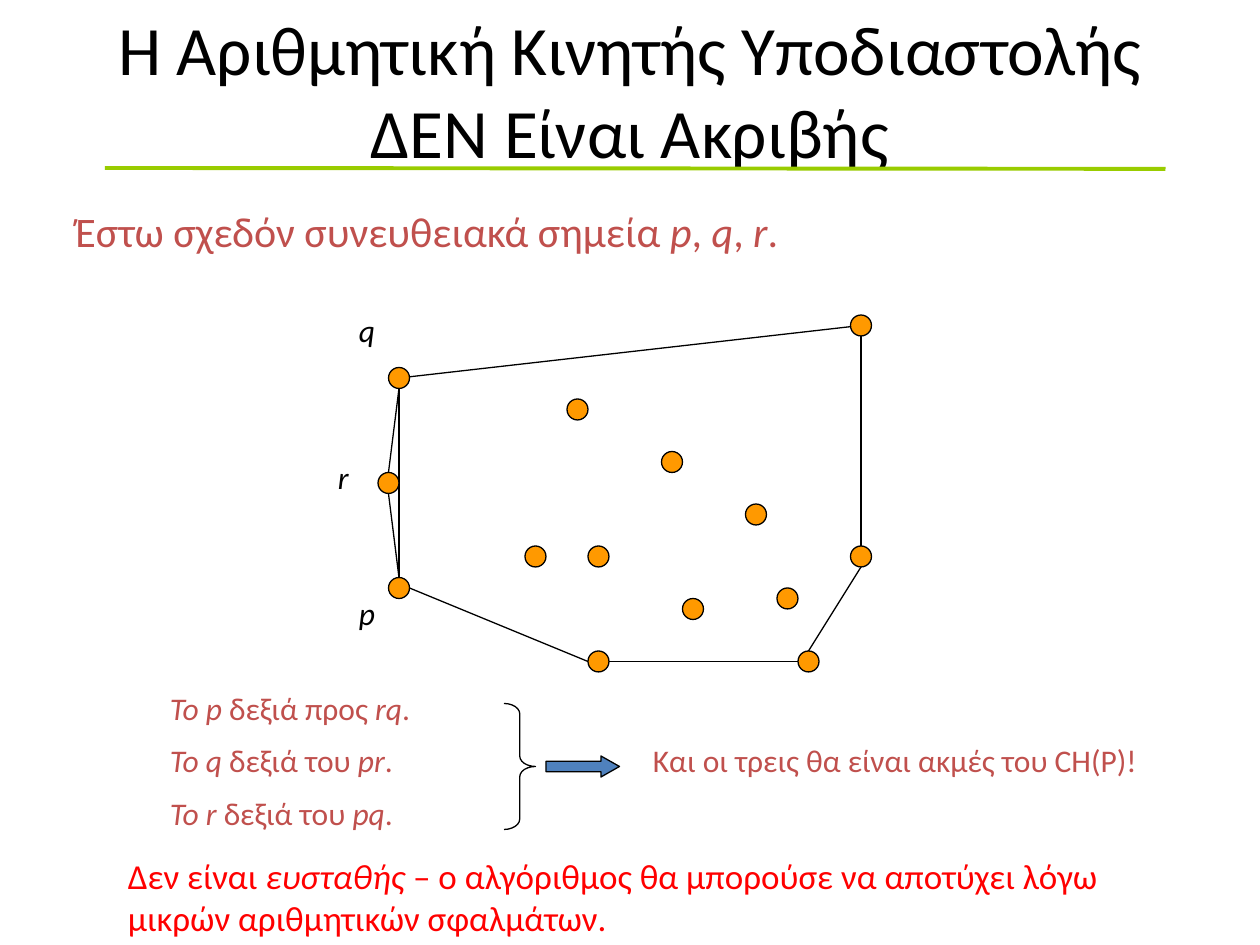
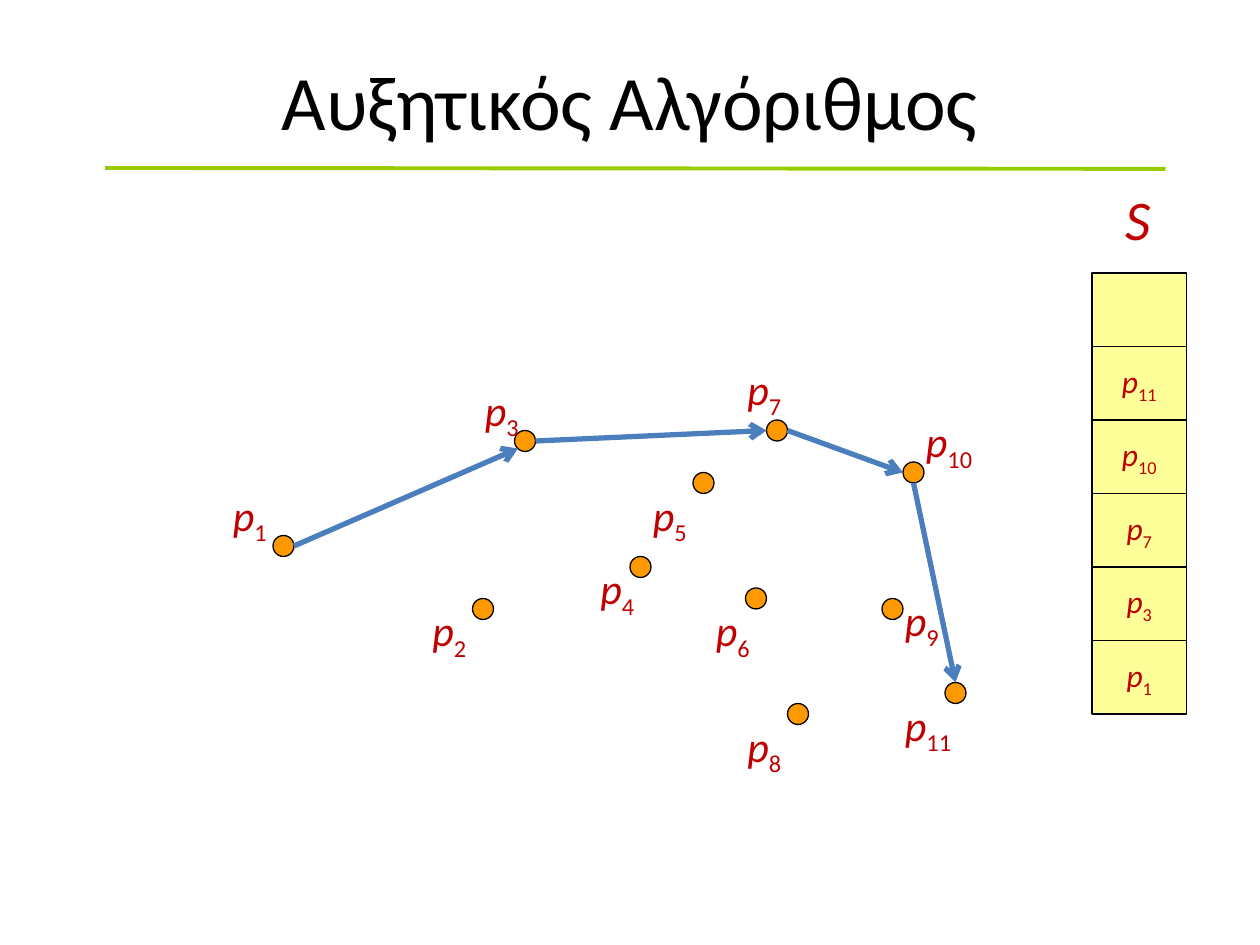
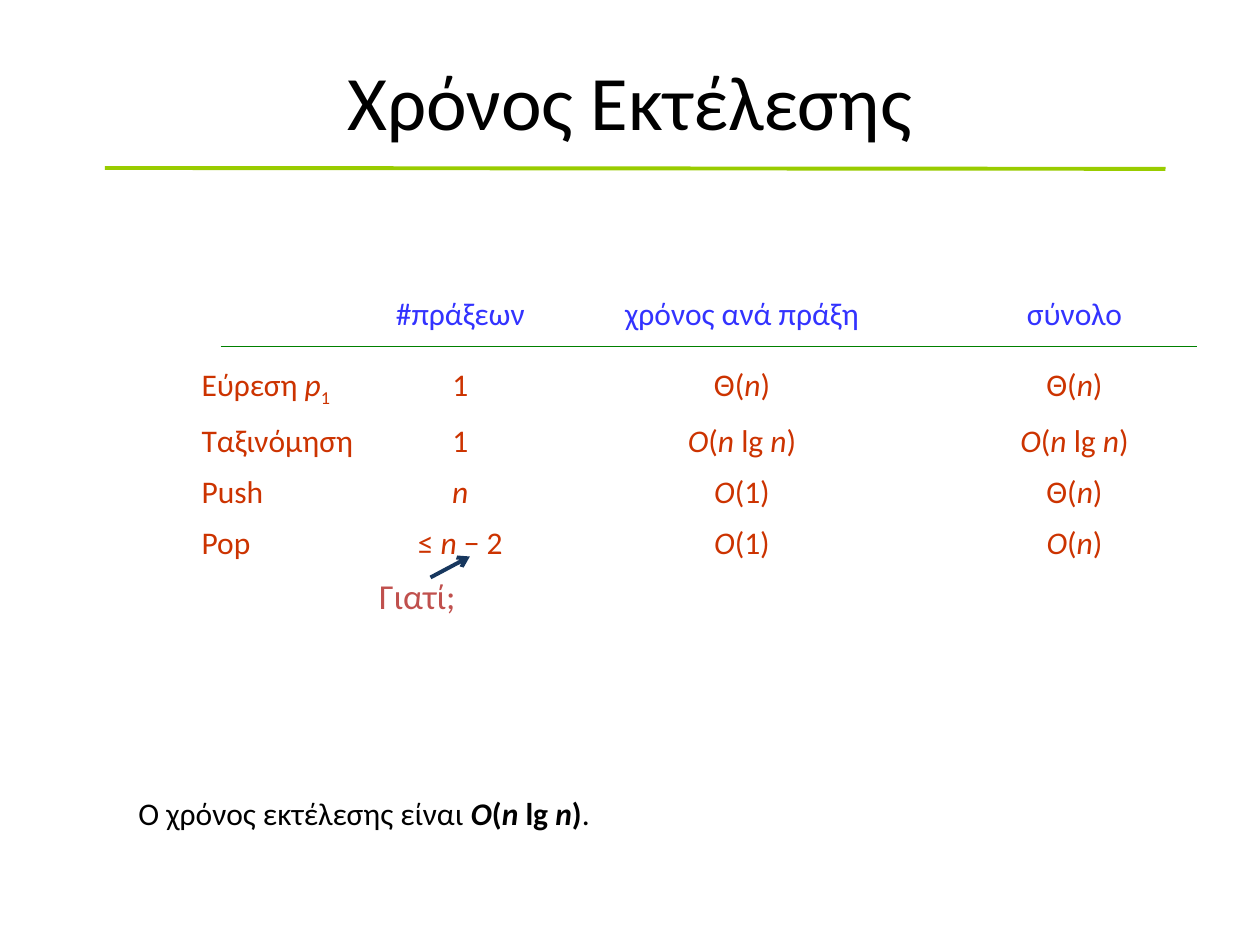
from pptx import Presentation
from pptx.dml.color import RGBColor
from pptx.enum.shapes import MSO_CONNECTOR, MSO_SHAPE
from pptx.enum.text import MSO_ANCHOR, PP_ALIGN
from pptx.oxml.ns import qn
from pptx.util import Pt
from lxml import etree

BLACK = RGBColor(0x00, 0x00, 0x00)
ORANGE = RGBColor(0xFF, 0x99, 0x00)
LIME = RGBColor(0x99, 0xCC, 0x00)
GREEN = RGBColor(0x00, 0x80, 0x00)
YELLOW = RGBColor(0xFF, 0xFF, 0x99)
BLUE = RGBColor(0x4F, 0x81, 0xBD)
ARROW_BLUE = RGBColor(0x4B, 0x7E, 0xBC)
NAVY = RGBColor(0x17, 0x37, 0x5E)
HEADER_BLUE = RGBColor(0x33, 0x33, 0xFF)
BRICK = RGBColor(0xC0, 0x50, 0x4D)
DARK_RED = RGBColor(0xC0, 0x00, 0x00)
RUST = RGBColor(0xCC, 0x33, 0x00)
RED = RGBColor(0xFF, 0x00, 0x00)

STRAIGHT = MSO_CONNECTOR.STRAIGHT
OVAL = MSO_SHAPE.OVAL
RECTANGLE = MSO_SHAPE.RECTANGLE
RIGHT_BRACE = MSO_SHAPE.RIGHT_BRACE
RIGHT_ARROW = MSO_SHAPE.RIGHT_ARROW
TOP, MIDDLE = MSO_ANCHOR.TOP, MSO_ANCHOR.MIDDLE
LEFT, CENTER = PP_ALIGN.LEFT, PP_ALIGN.CENTER

FONT = "Calibri"
ITALIC, SUBSCRIPT, BOLD = "*", "_", "^"
DOT = 12


class Deck:
    def __init__(self):
        self.presentation = Presentation()
        self.presentation.slide_width = Pt(720)
        self.presentation.slide_height = Pt(540)
        self.slide = None

    def add_slide(self, title, top=12, height=90, size=44):
        layout = self.presentation.slide_layouts[6]
        self.slide = self.presentation.slides.add_slide(layout)
        self.text(title, 54, top, 612, height, size, BLACK, CENTER, MIDDLE)
        self.line((60, 96), (666, 96.5), LIME, 2.25)

    def fill_text(self, frame, markup, size, color, align=LEFT):
        paragraph = frame.paragraphs[0]
        paragraph.alignment = align
        for mark in (ITALIC, SUBSCRIPT, BOLD):
            markup = markup.replace(mark, f"|{mark}|")
        active = set()
        for token in markup.split("|"):
            if token in (ITALIC, SUBSCRIPT, BOLD):
                active ^= {token}
            elif token:
                run = paragraph.add_run()
                run.text = token
                run.font.name = FONT
                run.font.size = Pt(size)
                run.font.color.rgb = color
                run.font.italic = ITALIC in active
                run.font.bold = BOLD in active
                if SUBSCRIPT in active:
                    run._r.get_or_add_rPr().set("baseline", "-25000")

    def text(self, markup, left, top, width, height, size, color,
             align=LEFT, anchor=TOP):
        box = self.slide.shapes.add_textbox(Pt(left), Pt(top), Pt(width), Pt(height))
        frame = box.text_frame
        frame.word_wrap = True
        frame.vertical_anchor = anchor
        self.fill_text(frame, markup, size, color, align)

    def shape(self, kind, left, top, width, height, fill=None, adjustments=()):
        shape = self.slide.shapes.add_shape(
            kind, Pt(left), Pt(top), Pt(width), Pt(height))
        shape.shadow.inherit = False
        shape.line.color.rgb = BLACK
        shape.line.width = Pt(0.75)
        if fill is None:
            shape.fill.background()
        else:
            shape.fill.solid()
            shape.fill.fore_color.rgb = fill
        for index, value in enumerate(adjustments):
            shape.adjustments[index] = value
        return shape

    def dots(self, corners):
        for left, top in corners:
            self.shape(OVAL, left, top, DOT, DOT, ORANGE)

    def line(self, start, end, color=BLACK, width=0.75, arrow=False):
        connector = self.slide.shapes.add_connector(
            STRAIGHT, *(Pt(value) for value in (*start, *end)))
        connector.line.color.rgb = color
        connector.line.width = Pt(width)
        if arrow:
            outline = connector.line._get_or_add_ln()
            etree.SubElement(outline, qn("a:tailEnd"), type="arrow")
        etree.SubElement(connector._element.spPr, qn("a:effectLst"))

    def stack(self, labels, left, top, width, height):
        for index, label in enumerate(labels):
            cell = self.shape(RECTANGLE, left, top + index * height, width, height, YELLOW)
            cell.text_frame.vertical_anchor = MIDDLE
            self.fill_text(cell.text_frame, label, 18, DARK_RED, CENTER)

    def table(self, rows, left, top, widths, heights):
        table = self.slide.shapes.add_table(
            len(rows), len(widths), Pt(left), Pt(top),
            Pt(sum(widths)), Pt(sum(heights))).table
        table.first_row = False
        table.horz_banding = False
        for column, width in zip(table.columns, widths):
            column.width = Pt(width)
        for row_index, (row, height) in enumerate(zip(rows, heights)):
            table.rows[row_index].height = Pt(height)
            color = RUST if row_index else HEADER_BLUE
            for column_index, markup in enumerate(row):
                cell = table.cell(row_index, column_index)
                cell.fill.background()
                align = CENTER if column_index else LEFT
                self.fill_text(cell.text_frame, markup, 18, color, align)


def build_precision_slide(deck):
    deck.add_slide("Η Αριθμητική Κινητής Υποδιαστολής ΔΕΝ Είναι Ακριβής",
                   top=0, height=102, size=39.6)
    hull_edges = [
        ((228, 216), (492, 186)), ((492, 192), (492, 312)),
        ((492, 324), (462, 372)), ((456, 378), (348, 378)),
        ((336, 378), (234, 336)), ((228, 222), (228, 330)),
        ((228, 222), (222, 270)), ((228, 330), (222, 282)),
    ]
    for start, end in hull_edges:
        deck.line(start, end)
    deck.dots([
        (378, 258), (426, 288), (300, 312), (486, 312), (390, 342),
        (336, 372), (456, 372), (222, 330), (216, 270), (324, 228),
        (336, 312), (444, 336), (222, 210), (486, 180),
    ])
    for name, left, top in (("p", 198, 336), ("r", 186, 258), ("q", 198, 174)):
        deck.text(f"*{name}*", left, top, 26, 36, 18, BLACK)

    deck.text("Έστω σχεδόν συνευθειακά σημεία *p*, *q*,* r*.",
              36, 114, 425, 36, 24, BRICK)
    conclusions = ["*Το p *δεξιά προς *rq*.", "*To q *δεξιά του *pr*.",
                   "*To r *δεξιά του *pq*."]
    for index, conclusion in enumerate(conclusions):
        deck.text(conclusion, 90, 390 + 30 * index, 162, 29, 18, BRICK)
    deck.shape(RIGHT_BRACE, 288, 402, 18, 72, adjustments=(0.33, 0.5))
    deck.shape(RIGHT_ARROW, 312, 432, 42, 12, BLUE, (0.5, 0.88))
    deck.text("Και οι τρεις θα είναι ακμές του CH(P)!", 366, 420, 296, 29, 18, BRICK)
    deck.text("Δεν είναι *ευσταθής *– ο αλγόριθμος θα μπορούσε να αποτύχει "
              "λόγω μικρών αριθμητικών σφαλμάτων.", 66, 484.5, 577.5, 55.5, 20, RED)


def build_incremental_slide(deck):
    deck.add_slide("Αυξητικός Αλγόριθμος")
    dots = [
        (156, 306), (270, 342), (294, 246), (360, 318), (396, 270), (426, 336),
        (438, 240), (450, 402), (504, 342), (516, 264), (540, 390),
    ]
    label_corners = [
        (126, 276), (240, 342), (270, 216), (336, 318), (366, 276), (402, 342),
        (420, 204), (420, 408), (510, 336), (522, 234), (510, 396),
    ]
    deck.dots(dots)
    for number, (left, top) in enumerate(label_corners, 1):
        width = 35 if number < 10 else 43
        deck.text(f"*p*_{number}_", left, top, width, 36, 24, DARK_RED)

    hull_arrows = [
        ((168, 312), (296, 256.3)), ((306, 252), (438, 246)),
        ((450, 246), (516, 270)), ((522, 276), (546, 390)),
    ]
    for start, end in hull_arrows:
        deck.line(start, end, ARROW_BLUE, 3, arrow=True)

    deck.text("*S*", 636, 102, 32.5, 46, 32, DARK_RED)
    stacked = [f"*p*_{number}_" for number in (11, 10, 7, 3, 1)]
    deck.stack(["", *stacked], 624, 156, 54, 42)


def build_running_time_slide(deck):
    deck.add_slide("Χρόνος Εκτέλεσης")
    operations = [
        ("", "#πράξεων", "χρόνος ανά πράξη", "σύνολο"),
        ("Εύρεση *p*_1_", "1", "Θ(*n*)", "Θ(*n*)"),
        ("Ταξινόμηση", "1", "*O*(*n *lg *n*)", "*O*(*n *lg *n*)"),
        ("Push", "*n*", "*O*(1)", "Θ(*n*)"),
        ("Pop", "≤ *n *− 2", "*O*(1)", "*O*(*n*)"),
    ]
    deck.table(operations, 108, 165, (101, 108, 214, 166), (41, *[29.2] * 4))
    deck.line((126, 198), (684, 198), GREEN)
    deck.text("Γιατί;", 209.5, 324.5, 59, 32, 20, BRICK)
    deck.line((246, 330), (268.5, 318), NAVY, 2.25, arrow=True)
    deck.text("Ο χρόνος εκτέλεσης είναι ^*O*(*n *lg *n*)^.", 72, 450, 280, 29, 18, BLACK)


def main():
    deck = Deck()
    build_precision_slide(deck)
    build_incremental_slide(deck)
    build_running_time_slide(deck)
    deck.presentation.save("out.pptx")


if __name__ == "__main__":
    main()
